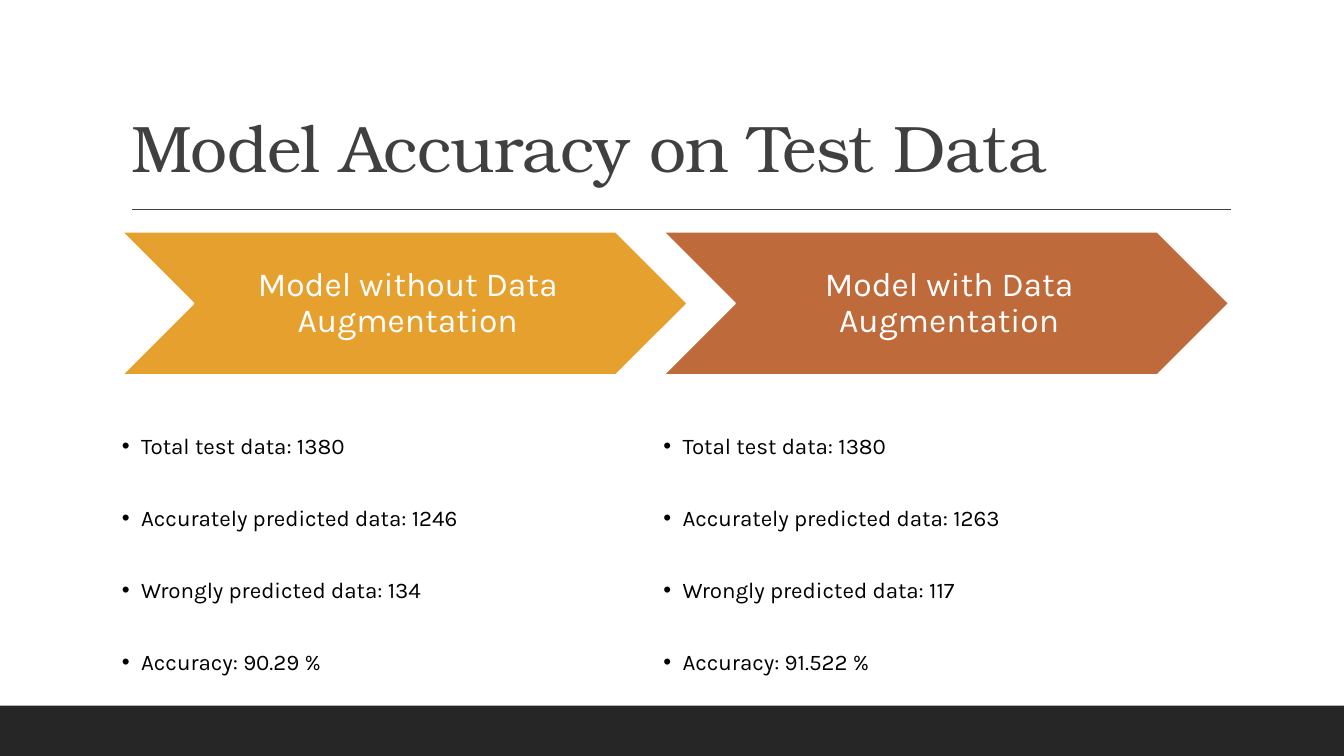
from dataclasses import dataclass

from lxml import etree
from pptx import Presentation
from pptx import util as u
from pptx.dml.color import RGBColor
from pptx.enum import shapes, text
from pptx.oxml.ns import qn

PX = 9144  # EMU per px, 100 px to the inch


@dataclass(frozen=True)
class Theme:
    head_font: str = "TeX Gyre Bonum"
    body_font: str = "Karla"
    title_size: float = 47
    label_size: float = 24
    list_size: float = 16
    ink: str = "404040"
    black: str = "000000"
    white: str = "FFFFFF"
    footer: str = "262626"
    gold: str = "E6A02E"
    rust: str = "BF6A3B"


T = Theme()
LEFT, STEP = 121, 537
MODELS = [
    ("Model without Data Augmentation", T.gold, ["1380", "1246", "134", "90.29 %"]),
    ("Model with Data Augmentation", T.rust, ["1380", "1263", "117", "91.522 %"]),
]
MEASURES = ["Total test data", "Accurately predicted data",
            "Wrongly predicted data", "Accuracy"]


def apply(obj, formats):
    for name, value in formats.items():
        setattr(obj, name, value)


def place(sp, *box):
    apply(sp, dict(zip(("left", "top", "width", "height"), (n * PX for n in box))))


def set_frame(tf, anchor, insets):
    """Anchor the text and set left, top, right and bottom insets in px."""
    sides = ("margin_left", "margin_top", "margin_right", "margin_bottom")
    apply(tf, {"word_wrap": True, "auto_size": text.MSO_AUTO_SIZE.NONE,
               "vertical_anchor": anchor, **{k: n * PX for k, n in zip(sides, insets)}})


def write(p, words, font, size, color, **formats):
    r = p.add_run()
    r.text = words
    apply(r.font, {"name": font, "size": u.Pt(size)})
    r.font.color.rgb = RGBColor.from_string(color)
    apply(p, {"space_before": u.Pt(0), **formats})
    return r


def add_title(s, words):
    sp = s.shapes.title
    place(sp, 120, 31, 1100, 159)
    set_frame(sp.text_frame, text.MSO_ANCHOR.BOTTOM, (10, 5, 10, 5))
    r = write(sp.text_frame.paragraphs[0], words, T.head_font, T.title_size, T.ink,
              alignment=text.PP_ALIGN.LEFT, line_spacing=0.9)
    r.font._element.set("spc", "-50")


def add_rule(s, x1, x2, y):
    cx = s.shapes.add_connector(shapes.MSO_CONNECTOR.STRAIGHT,
                                x1 * PX, y * PX, x2 * PX, y * PX)
    cx.line.color.rgb = RGBColor.from_string(T.ink)
    cx.line.width = u.Pt(1)
    etree.SubElement(cx._element.spPr, qn("a:effectLst"))


def add_block(s, kind, box, fill, line=None):
    sp = s.shapes.add_shape(kind, *(n * PX for n in box))
    sp.shadow.inherit = False
    sp.fill.solid()
    sp.fill.fore_color.rgb = RGBColor.from_string(fill)
    if line:
        sp.line.color.rgb = RGBColor.from_string(line)
        sp.line.width = u.Pt(1.25)
    else:
        sp.line.fill.background()
    return sp


def add_chevron(s, x, label, fill):
    sp = add_block(s, shapes.MSO_SHAPE.CHEVRON, (x, 230, 561, 142), fill, T.white)
    set_frame(sp.text_frame, text.MSO_ANCHOR.MIDDLE, (10, 4, 4, 4))
    write(sp.text_frame.paragraphs[0], label, T.body_font, T.label_size, T.white,
          alignment=text.PP_ALIGN.CENTER, line_spacing=0.9)


def fill_list(sp, x, items):
    place(sp, x, 389, 449, 254)
    tf = sp.text_frame
    set_frame(tf, text.MSO_ANCHOR.TOP, (0, 0, 0, 0))
    for i, item in enumerate(items):
        p = tf.add_paragraph() if i else tf.paragraphs[0]
        write(p, item, T.body_font, T.list_size, T.black,
              line_spacing=2.5, space_after=u.Pt(3.5))
        pPr = p._p.get_or_add_pPr()
        pPr.set("marL", str(19 * PX))
        pPr.set("indent", str(-19 * PX))
        etree.SubElement(pPr, qn("a:buChar")).set("char", "•")


def main():
    prs = Presentation()
    apply(prs, {"slide_width": 1333 * PX, "slide_height": 750 * PX})
    s = prs.slides.add_slide(prs.slide_layouts.get_by_name("Two Content"))
    add_title(s, "Model Accuracy on Test Data")
    add_rule(s, 131, 1221, 208)
    add_block(s, shapes.MSO_SHAPE.RECTANGLE, (0, 700, 1333, 50), T.footer)
    for i, (label, fill, values) in enumerate(MODELS):
        x = LEFT + i * STEP
        add_chevron(s, x, label, fill)
        fill_list(s.placeholders[i + 1], x,
                  [f"{m}: {v}" for m, v in zip(MEASURES, values)])
    prs.save("out.pptx")


if __name__ == "__main__":
    main()
